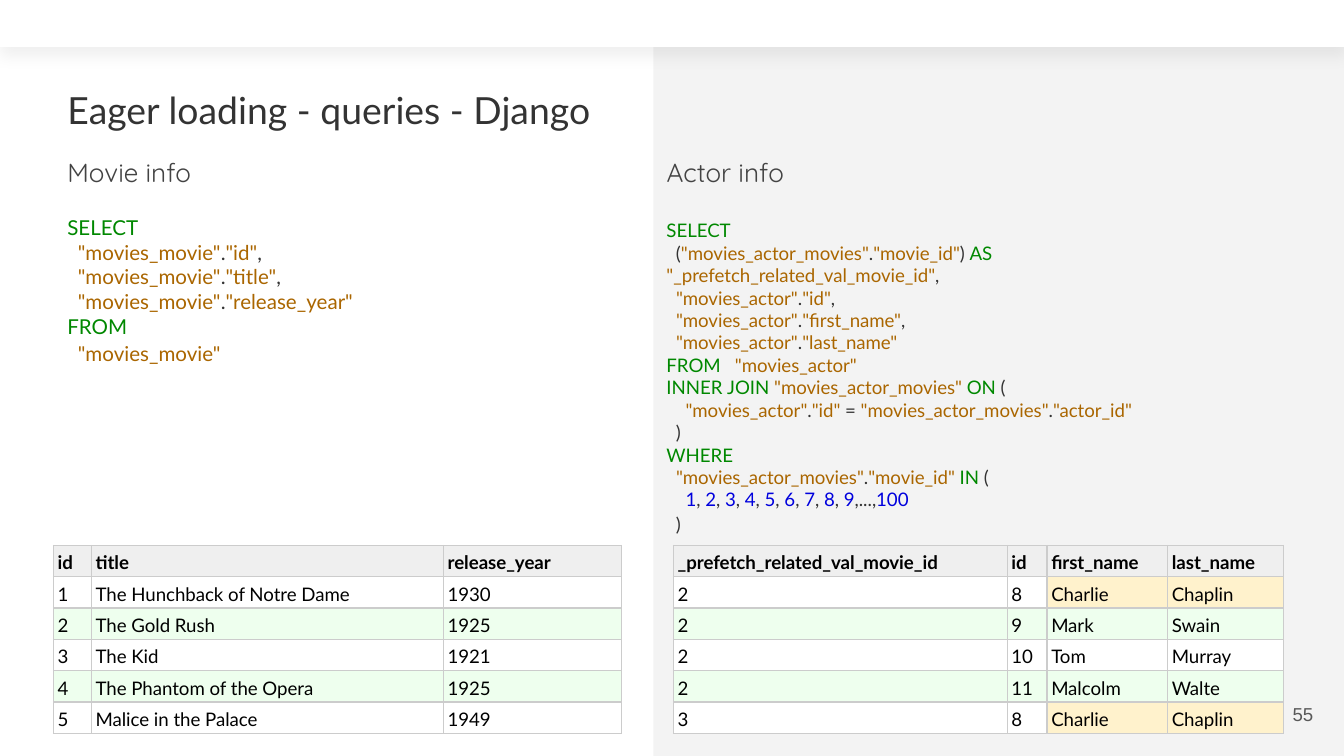
"""Build the slide on eager loading queries in Django."""
from itertools import groupby

from lxml import etree
from pptx import Presentation
from pptx.dml.color import RGBColor
from pptx.enum.shapes import MSO_SHAPE
from pptx.enum.text import MSO_ANCHOR, PP_ALIGN
from pptx.oxml import parse_xml
from pptx.oxml.ns import nsdecls
from pptx.util import Pt

RECT = MSO_SHAPE.RECTANGLE
MIDDLE, BOTTOM = MSO_ANCHOR.MIDDLE, MSO_ANCHOR.BOTTOM
LEFT, RIGHT = PP_ALIGN.LEFT, PP_ALIGN.RIGHT

COLORS = {
    "white": "FFFFFF", "panel": "F3F3F3", "text": "333333", "heading": "434343",
    "number": "595959", "black": "000000", "keyword": "008800", "string": "AA6600",
    "digit": "0000DD", "header": "EFEFEF", "band": "EEFFEE", "repeat": "FFF2CC",
    "border": "CCCCCC",
}

MOVIE_SQL = '''SELECT
  "movies_movie"."id",
  "movies_movie"."title",
  "movies_movie"."release_year"
FROM
  "movies_movie"'''

ACTOR_SQL = '''SELECT
  ("movies_actor_movies"."movie_id") AS "_prefetch_related_val_movie_id",
  "movies_actor"."id",
  "movies_actor"."first_name",
  "movies_actor"."last_name"
FROM   "movies_actor"
INNER JOIN "movies_actor_movies" ON (
    "movies_actor"."id" = "movies_actor_movies"."actor_id"
  )
WHERE
  "movies_actor_movies"."movie_id" IN (
    1, 2, 3, 4, 5, 6, 7, 8, 9,...,100
  )'''

MOVIES = [
    ("id", "title", "release_year"),
    ("1", "The Hunchback of Notre Dame", "1930"),
    ("2", "The Gold Rush", "1925"),
    ("3", "The Kid", "1921"),
    ("4", "The Phantom of the Opera", "1925"),
    ("5", "Malice in the Palace", "1949"),
]

ACTORS = [
    ("_prefetch_related_val_movie_id", "id", "first_name", "last_name"),
    ("2", "8", "Charlie", "Chaplin"),
    ("2", "9", "Mark", "Swain"),
    ("2", "10", "Tom", "Murray"),
    ("2", "11", "Malcolm", "Walte"),
    ("3", "8", "Charlie", "Chaplin"),
]
REPEATED = ("Charlie", "Chaplin")


def rgb(name):
    """Return the named colour."""
    return RGBColor.from_string(COLORS[name])


def set_margins(target, x, y):
    """Set equal side margins and equal top and bottom margins."""
    values = {"margin_left": x, "margin_right": x, "margin_top": y, "margin_bottom": y}
    for name, value in values.items():
        setattr(target, name, Pt(value))


def add_run(p, text, color, size, font="Lato", bold=False):
    """Append a formatted run to a paragraph."""
    r = p.add_run()
    r.text = text
    for name, value in {"name": font, "size": Pt(size), "bold": bold}.items():
        setattr(r.font, name, value)
    r.font.color.rgb = rgb(color)


def add_rect(s, x, y, w, h, color):
    """Add a plain filled rectangle."""
    sp = s.shapes.add_shape(RECT, Pt(x), Pt(y), Pt(w), Pt(h))
    sp.shadow.inherit = False
    sp.fill.solid()
    sp.fill.fore_color.rgb = rgb(color)
    sp.line.fill.background()
    return sp


def add_soft_shadow(sp):
    """Give a shape a faint shadow below it."""
    effects = sp._element.spPr.find("{*}effectLst")
    effects.append(parse_xml(
        f'<a:outerShdw {nsdecls("a")} blurRad="{Pt(7.9)}" dist="{Pt(3.8)}" '
        f'dir="{92 * 60000}" algn="tl" rotWithShape="0">'
        f'<a:srgbClr val="{COLORS["black"]}"><a:alpha val="5000"/></a:srgbClr>'
        '</a:outerShdw>'))


def add_box(s, x, y, w, h, margin_y=7.2):
    """Add an empty wrapping text box and return its text frame."""
    tf = s.shapes.add_textbox(Pt(x), Pt(y), Pt(w), Pt(h)).text_frame
    tf.word_wrap = True
    set_margins(tf, 7.2, margin_y)
    return tf


def add_label(s, text, x, y, w, h, color, size, font, margin_y=7.2, align=LEFT):
    """Add a one-line label and return its text frame."""
    tf = add_box(s, x, y, w, h, margin_y)
    tf.paragraphs[0].alignment = align
    add_run(tf.paragraphs[0], text, color, size, font)
    return tf


def char_kind(char):
    """Return the colour name for an unquoted SQL character."""
    if char.isalpha():
        return "keyword"
    return "digit" if char.isdigit() else "text"


def sql_tokens(line):
    """Yield the text and colour name of each token in a line of SQL."""
    for i, part in enumerate(line.split('"')):
        if i % 2:
            yield f'"{part}"', "string"
        else:
            for kind, chars in groupby(part, char_kind):
                yield "".join(chars), kind


def add_sql(s, sql, x, y, w, h, size):
    """Add a query with coloured syntax."""
    tf = add_box(s, x, y, w, h)
    for i, line in enumerate(sql.split("\n")):
        p = tf.add_paragraph() if i else tf.paragraphs[0]
        for text, color in sql_tokens(line):
            add_run(p, text, color, size)
    p.line_spacing = 1.11


def set_borders(cell):
    """Draw a thin border on all sides of a cell."""
    tc_pr = cell._tc.get_or_add_tcPr()
    for side in ("lnL", "lnR", "lnT", "lnB"):
        ln = parse_xml(
            f'<a:{side} {nsdecls("a")} w="{Pt(0.75)}"><a:solidFill>'
            f'<a:srgbClr val="{COLORS["border"]}"/></a:solidFill></a:{side}>')
        etree.strip_tags(ln, etree.Comment)
        tc_pr.append(ln)


def cell_color(row, text):
    """Return the fill name for a cell."""
    if row == 0:
        return "header"
    if text in REPEATED:
        return "repeat"
    return "white" if row % 2 else "band"


def add_result(s, rows, x, y, widths, row_height=16.8):
    """Add a table of query results."""
    frame = s.shapes.add_table(len(rows), len(widths), Pt(x), Pt(y),
                               Pt(sum(widths)), Pt(row_height * len(rows)))
    table = frame.table
    table.horz_banding = False
    for column, width in zip(table.columns, widths):
        column.width = Pt(width)
    for i, row in enumerate(rows):
        table.rows[i].height = Pt(row_height)
        for j, text in enumerate(row):
            cell = table.cell(i, j)
            set_borders(cell)
            set_margins(cell, 2.25, 1.5)
            cell.vertical_anchor = BOTTOM
            cell.fill.solid()
            cell.fill.fore_color.rgb = rgb(cell_color(i, text))
            p = cell.text_frame.paragraphs[0]
            p.line_spacing = 1.15
            add_run(p, text, "black", 10, bold=i == 0)


def main():
    """Build and save the slide."""
    prs = Presentation()
    prs.slide_width, prs.slide_height = Pt(720), Pt(405)
    s = prs.slides.add_slide(prs.slide_layouts[6])
    left, right = 29, 350
    add_rect(s, right, 0, 720 - right, 405, "panel")
    add_soft_shadow(add_rect(s, 0, 0, 720, 25.2, "white"))
    add_label(s, "Eager loading - queries - Django", left, 43.2, 323, 33,
              "text", 20, "Lato", 3.6)
    for x, text in ((left, "Movie info"), (right, "Actor info")):
        add_label(s, text, x, 76.3, 90, 32, "heading", 14, "Quicksand")
    add_sql(s, MOVIE_SQL, left, 108, 189, 94, 11)
    add_sql(s, ACTOR_SQL, right, 110.2, 332, 172, 10)
    add_result(s, MOVIES, 28.6, 292.2, (20.4, 188.6, 95.4))
    add_result(s, ACTORS, 360.8, 292.2, (178.8, 21.4, 64.6, 61.9))
    number = add_label(s, "55", 667.4, 367.2, 43.2, 31, "number", 10, "Arial", align=RIGHT)
    number.vertical_anchor = MIDDLE
    prs.save("out.pptx")


if __name__ == "__main__":
    main()
